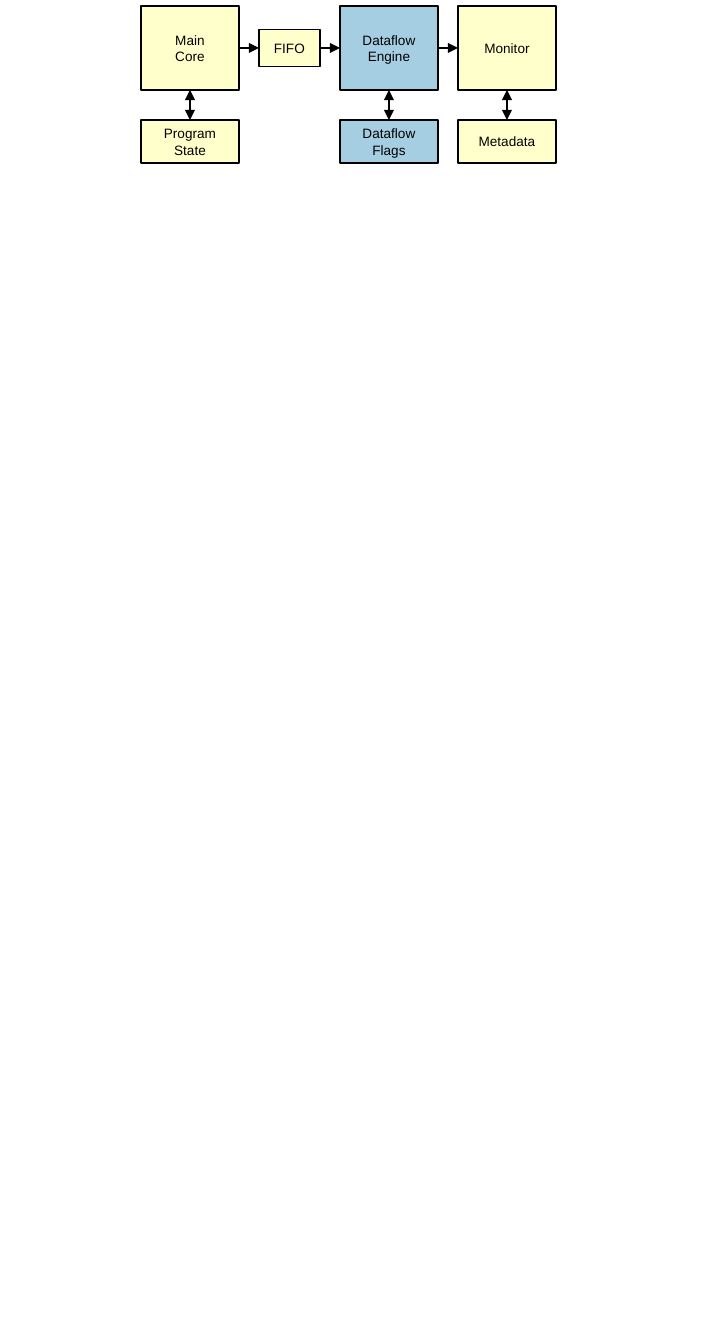
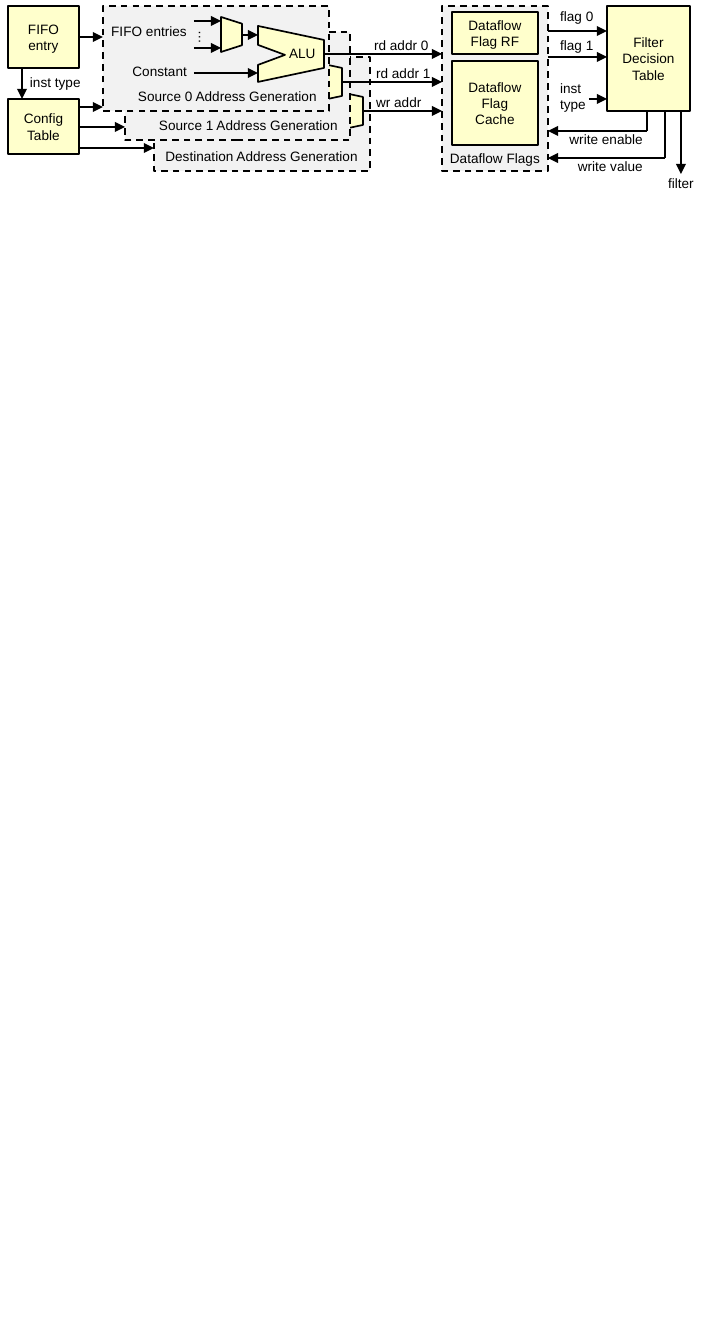
from typing import NamedTuple

from lxml.etree import SubElement
from pptx import Presentation
from pptx.dml.color import RGBColor
from pptx.enum.dml import MSO_LINE
from pptx.enum.shapes import MSO_CONNECTOR, MSO_SHAPE
from pptx.enum.text import MSO_ANCHOR, PP_ALIGN
from pptx.oxml.ns import qn
from pptx.util import Pt

EMU_PER_PIXEL = 914400 / 122.2
COLORS = {
    "ink": "000000",
    "block": "FFFFCC",
    "dataflow": "A6CEE3",
    "panel": "F2F2F2",
}
FONT_NAME, FONT_SIZE = "Arial", Pt(8)
LINE_WIDTH = Pt(1)
LABEL_HEIGHT = 29
FLAGS_LEFT = 442


class Box(NamedTuple):
    """A rectangle in pixels."""
    left: int
    top: int
    width: int
    height: int

    @property
    def right(self):
        """The right edge."""
        return self.left + self.width

    @property
    def bottom(self):
        """The bottom edge."""
        return self.top + self.height

    @property
    def center(self):
        """The horizontal middle."""
        return self.left + self.width / 2

    def inner(self, x, y, width, height):
        """A box placed relative to this one."""
        return Box(self.left + x, self.top + y, width, height)

    def points(self, *offsets):
        """Points placed relative to this box."""
        return [(self.left + x, self.top + y) for x, y in offsets]


def emu(*pixels):
    """Turn pixels into EMU."""
    return [round(value * EMU_PER_PIXEL) for value in pixels]


def rgb(name):
    """Look up a colour of the palette."""
    return RGBColor.from_string(COLORS[name])


def write(frame, text, align):
    """Write one paragraph per line of text in the shared font."""
    frame.word_wrap = True
    frame.text = text
    for paragraph in frame.paragraphs:
        paragraph.alignment = align
        paragraph.font.name = FONT_NAME
        paragraph.font.size = FONT_SIZE
        paragraph.font.color.rgb = rgb("ink")


def paint(shape, color):
    """Give a shape its fill and the shared outline."""
    shape.shadow.inherit = False
    shape.fill.solid()
    shape.fill.fore_color.rgb = rgb(color)
    shape.line.color.rgb = rgb("ink")
    shape.line.width = LINE_WIDTH


def add_block(slide, box, text="", color="block", kind=MSO_SHAPE.RECTANGLE):
    """Add a filled shape with centred text."""
    shape = slide.shapes.add_shape(kind, *emu(*box))
    paint(shape, color)
    if text:
        write(shape.text_frame, text, PP_ALIGN.CENTER)
        shape.text_frame.vertical_anchor = MSO_ANCHOR.MIDDLE
    return shape


def add_panel(slide, box):
    """Add a dashed grey region."""
    add_block(slide, box, color="panel").line.dash_style = MSO_LINE.DASH


def add_label(slide, box, text, align=PP_ALIGN.LEFT):
    """Add a free-standing label."""
    shape = slide.shapes.add_textbox(*emu(*box))
    write(shape.text_frame, text, align)
    return shape


def add_wire(slide, points, both_ends=False):
    """Join points by straight lines, with an arrowhead at the last one."""
    for start, end in zip(points, points[1:]):
        connector = slide.shapes.add_connector(
            MSO_CONNECTOR.STRAIGHT, *emu(*start, *end))
        connector.line.color.rgb = rgb("ink")
        connector.line.width = LINE_WIDTH
        line = connector.line._get_or_add_ln()
        if both_ends:
            SubElement(line, qn("a:headEnd"), type="triangle")
        if end == points[-1]:
            SubElement(line, qn("a:tailEnd"), type="triangle")
        SubElement(connector._element.spPr, qn("a:effectLst"))


def add_stage(slide, box, text, store_text, color="block"):
    """Add a processing stage with its storage block below."""
    store_height = 43
    store = Box(box.left, box.bottom + 30, box.width, store_height)
    add_block(slide, box, text, color)
    add_block(slide, store, store_text, color)
    add_wire(slide, [(box.center, box.bottom), (box.center, store.top)],
             both_ends=True)


def build_overview(slide, box):
    """Draw the pipeline from the main core to the monitor."""
    gap, stage_width, queue_width, queue_height = 20, 98, 61, 37
    middle = box.top + box.height / 2
    stages = [
        ("Main\nCore", "Program State", "block"),
        ("FIFO", None, "block"),
        ("Dataflow\nEngine", "Dataflow Flags", "dataflow"),
        ("Monitor", "Metadata", "block"),
    ]
    left = box.left
    for text, store_text, color in stages:
        if left > box.left:
            add_wire(slide, [(left - gap, middle), (left, middle)])
        if store_text:
            stage = Box(left, box.top, stage_width, box.height)
            add_stage(slide, stage, text, store_text, color)
        else:
            stage = Box(left, middle - queue_height / 2,
                        queue_width, queue_height)
            add_block(slide, stage, text, color)
        left = stage.right + gap


def add_alu(slide, box):
    """Draw the notched outline of an ALU."""
    outline = box.points((0, 0), (66, 14), (66, 42), (0, 56),
                         (0, 39), (27, 29), (0, 19))
    builder = slide.shapes.build_freeform(*outline[0], scale=EMU_PER_PIXEL)
    builder.add_line_segments(outline[1:], close=True)
    paint(builder.convert_to_shape(), "block")


def add_address_generation(slide, box, alu, text):
    """Draw a panel whose ALU sends an address to the flags."""
    add_panel(slide, box)
    add_alu(slide, alu)
    middle = alu.top + alu.height / 2
    add_wire(slide, [(alu.right, middle), (FLAGS_LEFT, middle)])
    add_label(slide, Box(box.left - 12, box.bottom - LABEL_HEIGHT,
                         box.width + 12, LABEL_HEIGHT), text, PP_ALIGN.RIGHT)


def add_operand_selection(slide, box):
    """Draw the inputs and multiplexer inside the front panel."""
    mux = add_block(slide, box.inner(111, 18, 35, 21),
                    kind=MSO_SHAPE.TRAPEZOID)
    mux.rotation = 90
    mux.adjustments[0] = 0.32
    for start, end, y in [(91, 118, 15), (91, 118, 42),
                          (139, 155, 29), (91, 155, 67)]:
        add_wire(slide, box.points((start, y), (end, y)))
    for text, y in [("FIFO entries", 11), ("Constant", 51)]:
        add_label(slide, box.inner(-13, y, 109, LABEL_HEIGHT), text,
                  PP_ALIGN.RIGHT)
    add_label(slide, box.inner(84, 15, 34, LABEL_HEIGHT), "…").rotation = 90
    add_label(slide, box.inner(174, 33, 60, 21), "ALU")


def add_address_stack(slide, box):
    """Draw the three overlapping address panels, back to front."""
    alu = box.inner(155, 20, 66, 56)
    add_address_generation(slide, box.inner(51, 51, 216, 114),
                           alu.inner(39, 57, 66, 56),
                           "Destination Address Generation")
    add_address_generation(slide, box.inner(22, 26, 225, 108),
                           alu.inner(18, 28, 66, 56),
                           "Source 1 Address Generation")
    front = box.inner(0, 0, 226, 105)
    add_address_generation(slide, front, alu, "Source 0 Address Generation")
    add_operand_selection(slide, front)
    for text, x, y in [("rd addr 0", 259, 25), ("rd addr 1", 261, 53),
                       ("wr addr", 261, 82)]:
        add_label(slide, box.inner(x, y, 96, LABEL_HEIGHT), text)


def add_entry(slide, box):
    """Draw the FIFO entry and config table with their outputs."""
    add_block(slide, box.inner(0, 0, box.width, 62), "FIFO entry")
    add_block(slide, box.inner(0, 93, box.width, 55), "Config Table")
    add_wire(slide, box.points((14, 62), (14, 93)))
    for end, y in [(95, 31), (95, 101), (117, 121), (146, 142)]:
        add_wire(slide, box.points((box.width, y), (end, y)))
    add_label(slide, box.inner(10, 62, 87, LABEL_HEIGHT), "inst type")


def add_flags(slide, box):
    """Draw the dataflow flag storage."""
    add_panel(slide, box)
    add_block(slide, box.inner(10, 6, 86, 42), "Dataflow Flag RF")
    add_block(slide, box.inner(10, 55, 86, 84), "Dataflow Flag\nCache")
    add_label(slide, box.inner(-10, 138, box.width + 20, LABEL_HEIGHT),
              "Dataflow Flags", PP_ALIGN.CENTER)


def add_decision(slide, box):
    """Draw the filter decision table with its inputs and outputs."""
    flags_edge = -59
    add_block(slide, box, "Filter Decision Table")
    for start, y in [(flags_edge, 25), (flags_edge, 51), (-18, 93)]:
        add_wire(slide, box.points((start, y), (0, y)))
    for text, y, height in [("flag 0", -4, LABEL_HEIGHT),
                            ("flag 1", 25, LABEL_HEIGHT),
                            ("inst type", 68, 45)]:
        add_label(slide, box.inner(-59, y, 60, height), text)
    for text, x, y in [("write enable", 40, 125), ("write value", 58, 152)]:
        add_wire(slide, box.points((x, box.height), (x, y), (flags_edge, y)))
        add_label(slide, box.inner(-61, y - 6, 109, LABEL_HEIGHT), text,
                  PP_ALIGN.RIGHT)
    add_wire(slide, box.points((74, box.height), (74, 168)))
    add_label(slide, box.inner(37, 163, 74, LABEL_HEIGHT), "filter",
              PP_ALIGN.CENTER)


def build_engine(slide, box):
    """Draw the inside of the dataflow engine."""
    add_address_stack(slide, box.inner(95, 0, 267, 165))
    add_flags(slide, Box(FLAGS_LEFT, box.top, 106, 165))
    add_decision(slide, box.inner(599, 0, 83, 105))
    add_entry(slide, box.inner(0, 0, 71, 148))


def main():
    """Build and save the two diagrams."""
    presentation = Presentation()
    presentation.slide_width, presentation.slide_height = emu(709, 1344)
    blank = presentation.slide_layouts[6]
    build_overview(presentation.slides.add_slide(blank), Box(141, 6, 415, 84))
    build_engine(presentation.slides.add_slide(blank), Box(8, 6, 682, 165))
    presentation.save("out.pptx")


main()
